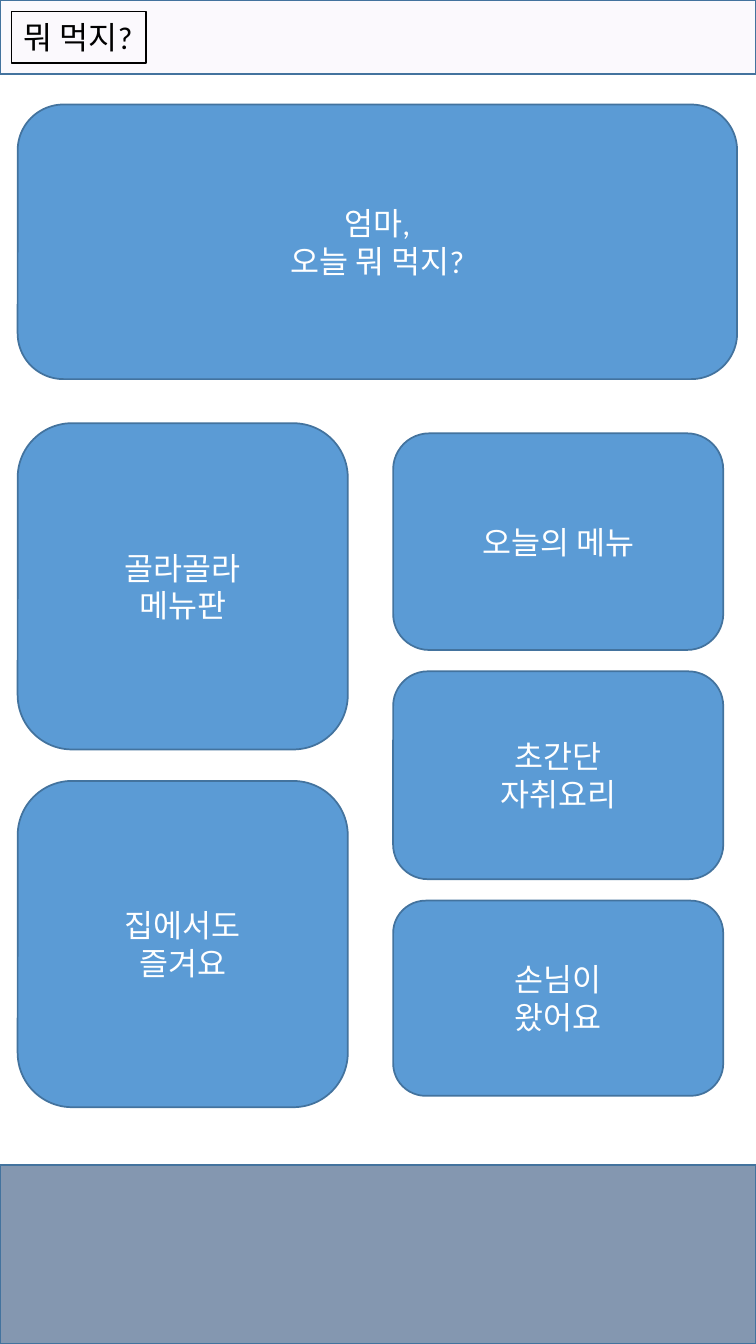
from lxml import etree
from pptx import Presentation
from pptx.dml.color import RGBColor
from pptx.enum.shapes import MSO_SHAPE
from pptx.enum.text import MSO_ANCHOR, MSO_AUTO_SIZE, PP_ALIGN
from pptx.oxml.ns import qn
from pptx.util import Inches, Pt

RECT, ROUNDED = MSO_SHAPE.RECTANGLE, MSO_SHAPE.ROUNDED_RECTANGLE
LEFT, CENTER = PP_ALIGN.LEFT, PP_ALIGN.CENTER
TOP, MIDDLE = MSO_ANCHOR.TOP, MSO_ANCHOR.MIDDLE
FIXED_SIZE = MSO_AUTO_SIZE.NONE
TITLE_ONLY = 5

COLORS = {
    "tile": "5B9BD5", "edge": "43739E", "header": "EEE5F7",
    "footer": "8497B0", "light": "FFFFFF", "dark": "000000",
}
FONT = "Calibri"
WIDTH, HEIGHT = 6, 10.67
TILE_WIDTH = 2.62


def rgb(name):
    return RGBColor.from_string(COLORS[name])


def write(shape, lines, color="light", align=CENTER, anchor=MIDDLE, size=18, wrap=True):
    frame = shape.text_frame
    frame.text = "\n".join(lines)
    frame.word_wrap = wrap
    frame.auto_size = FIXED_SIZE
    frame.vertical_anchor = anchor
    for paragraph in frame.paragraphs:
        paragraph.alignment = align
        paragraph.space_before = Pt(0)
        for run in paragraph.runs:
            run.font.name, run.font.size = FONT, Pt(size)
            run.font.color.rgb = rgb(color)


def add_panel(slide, kind, box, fill):
    panel = slide.shapes.add_shape(kind, *map(Inches, box))
    panel.shadow.inherit = False
    panel.fill.solid()
    panel.fill.fore_color.rgb = rgb(fill)
    panel.line.color.rgb = rgb("edge")
    panel.line.width = Pt(1)
    return panel


def add_tile(slide, box, lines):
    write(add_panel(slide, ROUNDED, box, "tile"), lines)


def add_column(slide, left, top, gap, tiles):
    """Stack tiles, given as (height, lines), downwards from the top."""
    for height, lines in tiles:
        add_tile(slide, (left, top, TILE_WIDTH, height), lines)
        top += height + gap


def add_header(slide, box):
    left, top, _, _ = box
    bar = add_panel(slide, RECT, box, "header")
    tint = bar.fill._xPr.find(qn("a:solidFill"))[0]
    etree.SubElement(tint, qn("a:alpha"), val="20000")

    title = slide.shapes.title
    title.left, title.top = Inches(left + 0.09), Inches(top + 0.09)
    title.width, title.height = Inches(1.07), Inches(0.41)
    write(title, ["뭐 먹지?"], color="dark", align=LEFT, anchor=TOP, wrap=False)
    title.line.color.rgb = rgb("dark")
    title.line.width = Pt(0.75)
    # Bring the title in front of the bar
    bar._element.addnext(title._element)


def main():
    prs = Presentation()
    prs.slide_width, prs.slide_height = Inches(WIDTH), Inches(HEIGHT)
    slide = prs.slides.add_slide(prs.slide_layouts[TITLE_ONLY])

    # Main banner
    add_tile(slide, (0.14, 0.83, 5.71, 2.18), ["엄마,", "오늘 뭐 먹지?"])

    # Menu columns
    add_column(slide, 0.14, 3.36, 0.25, [
        (2.59, ["골라골라", "메뉴판"]),
        (2.59, ["집에서도", "즐겨요"]),
    ])
    add_column(slide, 3.12, 3.44, 0.17, [
        (1.72, ["오늘의 메뉴"]),
        (1.65, ["초간단", "자취요리"]),
        (1.55, ["손님이", "왔어요"]),
    ])

    # Footer and header bars
    add_panel(slide, RECT, (0, 9.25, WIDTH, 1.42), "footer")
    add_header(slide, (0, 0, WIDTH, 0.59))

    prs.save("out.pptx")


if __name__ == "__main__":
    main()
